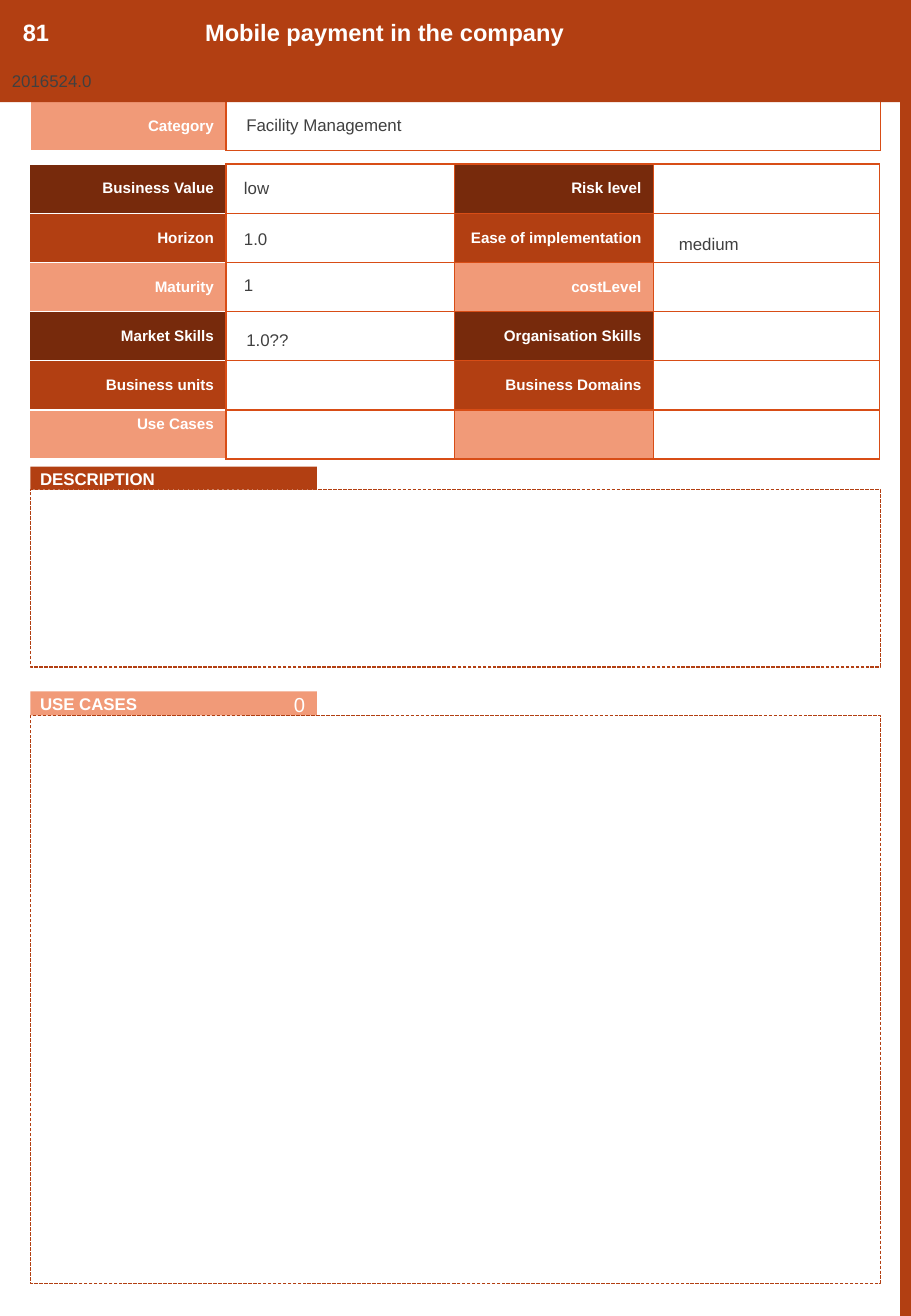
from pptx import Presentation
from pptx.dml.color import RGBColor
from pptx.enum.dml import MSO_LINE
from pptx.enum.shapes import MSO_SHAPE
from pptx.enum.text import MSO_ANCHOR, PP_ALIGN
from pptx.oxml.ns import qn
from pptx.util import Inches, Pt
from lxml.etree import SubElement

WHITE = RGBColor(0xFF, 0xFF, 0xFF)
RUST = RGBColor(0xB2, 0x3F, 0x12)
BROWN = RGBColor(0x77, 0x2A, 0x0C)
PEACH = RGBColor(0xF1, 0x9A, 0x78)
EDGE = RGBColor(0xD8, 0x4D, 0x16)
GREY = RGBColor(0x40, 0x40, 0x40)


class Sheet:
    """Holds the slide and its text style."""

    def __init__(self, slide, face="Arial"):
        self.shapes = slide.shapes
        self.face = face

    def fill_text(self, frame, text, size, color, bold=False, align=PP_ALIGN.LEFT):
        frame.word_wrap = True
        para = frame.paragraphs[0]
        para.text = text
        para.alignment = align
        font = para.font
        font.name, font.size, font.bold = self.face, Pt(size), bold
        font.color.rgb = color

    def box(self, x, y, w, h, fill=RUST, dashed=False):
        box = self.shapes.add_shape(
            MSO_SHAPE.RECTANGLE, Inches(x), Inches(y), Inches(w), Inches(h))
        box.shadow.inherit = False
        box.fill.solid()
        box.fill.fore_color.rgb = fill
        if dashed:
            box.line.color.rgb = RUST
            box.line.width = Pt(0)
            box.line.dash_style = MSO_LINE.SQUARE_DOT
        else:
            box.line.fill.background()
        return box

    def label(self, x, y, w, h, text, size, color=WHITE, bold=True):
        frame = self.box(x, y, w, h).text_frame
        frame.vertical_anchor = MSO_ANCHOR.TOP
        self.fill_text(frame, text, size, color, bold)

    def tab(self, y, text, fill):
        frame = self.box(0.25, y, 2.36, 0.2, fill).text_frame
        frame.margin_left = frame.margin_right = Inches(0.08)
        frame.vertical_anchor = MSO_ANCHOR.MIDDLE
        self.fill_text(frame, text, 10, WHITE, True)

    def text(self, x, y, w, text, size=10, color=GREY, align=PP_ALIGN.LEFT):
        box = self.shapes.add_textbox(
            Inches(x), Inches(y), Inches(w), Inches(0.29))
        self.fill_text(box.text_frame, text, size, color, align=align)

    def border(self, cell, colors):
        props = cell._tc.get_or_add_tcPr()
        for i, (side, color) in enumerate(zip("LRTB", colors)):
            line = props.makeelement(qn(f"a:ln{side}"), {"w": str(Pt(1))})
            fill = SubElement(line, qn("a:solidFill"))
            SubElement(fill, qn("a:srgbClr"), val=str(color))
            props.insert(i, line)

    def table(self, x, y, cols, height, rows, fills):
        """Even columns hold labels, odd columns stay white."""
        table = self.shapes.add_table(
            len(rows), len(cols), Inches(x), Inches(y),
            Inches(sum(cols)), Inches(height * len(rows))).table
        table.first_row = table.horz_banding = False
        for col, width in zip(table.columns, cols):
            col.width = Inches(width)
        for r, names in enumerate(rows):
            table.rows[r].height = Inches(height)
            for c in range(len(cols)):
                cell = table.cell(r, c)
                cell.margin_top = cell.margin_bottom = Inches(0.03)
                cell.vertical_anchor = MSO_ANCHOR.MIDDLE
                cell.fill.solid()
                cell.fill.fore_color.rgb = WHITE if c % 2 else fills[r % len(fills)]
                if c % 2 == 0 and names[c // 2]:
                    self.fill_text(cell.text_frame, names[c // 2], 9, WHITE, True,
                                   PP_ALIGN.RIGHT)
                self.border(cell, [EDGE] * 4 if c else [WHITE, EDGE, WHITE, WHITE])
        return table


deck = Presentation()
deck.slide_width, deck.slide_height = Inches(7.5), Inches(10.83)
sheet = Sheet(deck.slides.add_slide(deck.slide_layouts[6]))

# Side bar, category row and header band
sheet.box(7.41, 0, 0.09, 10.83)
sheet.table(0.25, 0.83, [1.61, 5.39], 0.41, [["Category"]], [PEACH])
sheet.box(0, -0.01, 7.5, 0.85)
sheet.label(1.59, 0.1, 5.41, 0.34, "Mobile payment in the company", 14)
sheet.label(0.09, 0.1, 0.8, 0.34, "81", 14)
sheet.label(0, 0.53, 1.06, 0.29, "2016524.0", 10, GREY, False)

# Sections: tabs, then dashed frames
sheet.tab(3.84, "DESCRIPTION", RUST)
sheet.tab(5.69, "USE CASES", PEACH)
for top, height in [(5.89, 4.67), (4.03, 1.46)]:
    sheet.box(0.25, top, 7, height, WHITE, dashed=True)

# Rating grid
ratings = sheet.table(0.24, 1.35, [1.62, 1.88, 1.64, 1.86], 2.43 / 6, [
    ["Business Value", "Risk level"],
    ["Horizon", "Ease of implementation"],
    ["Maturity", "costLevel"],
    ["Market Skills", "Organisation Skills"],
    ["Business units", "Business Domains"],
    ["Use Cases", ""],
], [BROWN, RUST, PEACH])
cases = ratings.cell(5, 0)
cases.vertical_anchor = MSO_ANCHOR.TOP
cases.margin_top = Inches(0.05)

# Values over the tables
for x, y, w, value in [
    (5.49, 1.87, 1.75, "medium"),
    (1.91, 1.83, 1.75, "1.0"),
    (1.91, 1.41, 1.75, "low"),
    (1.91, 2.21, 1.75, "1"),
    (1.93, 0.89, 4.77, "Facility Management"),
    (1.93, 2.66, 1.75, "1.0??"),
]:
    sheet.text(x, y, w, value)
sheet.text(1.22, 5.65, 1.39, "0", 12, WHITE, PP_ALIGN.RIGHT)

deck.save("out.pptx")
